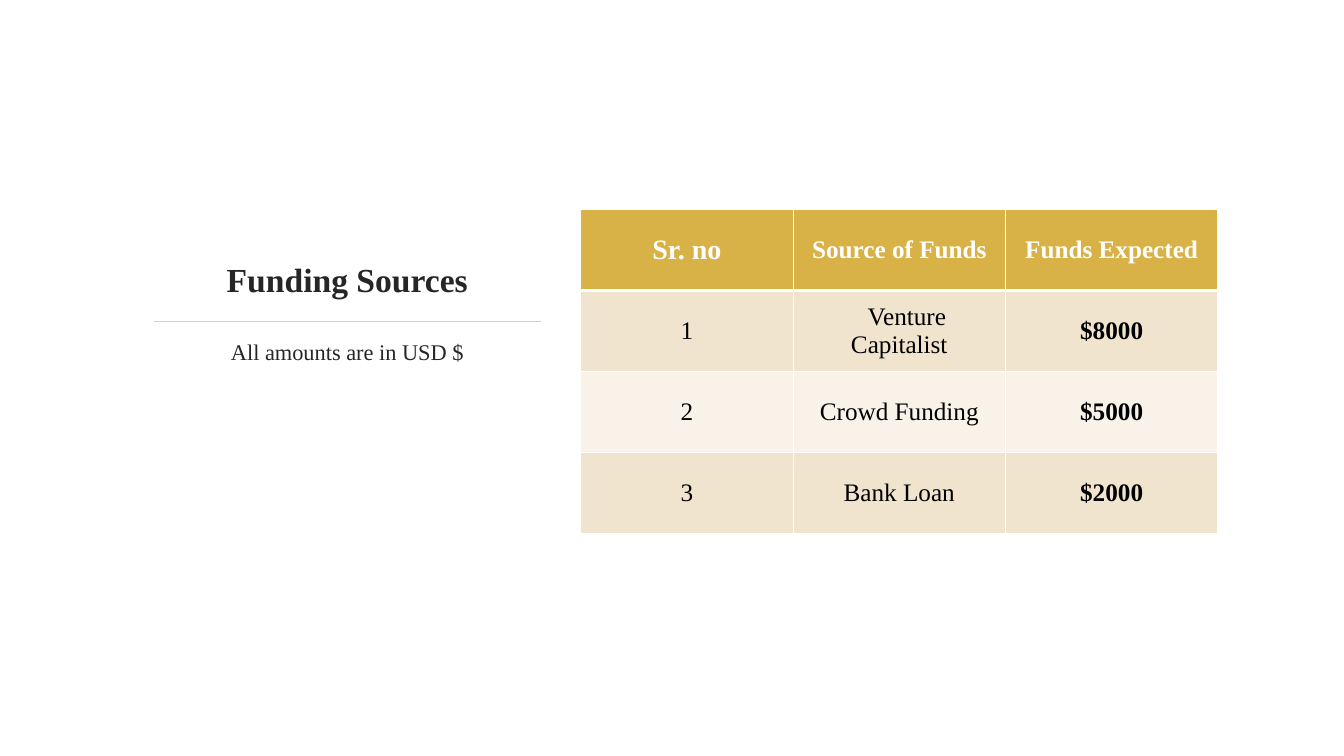
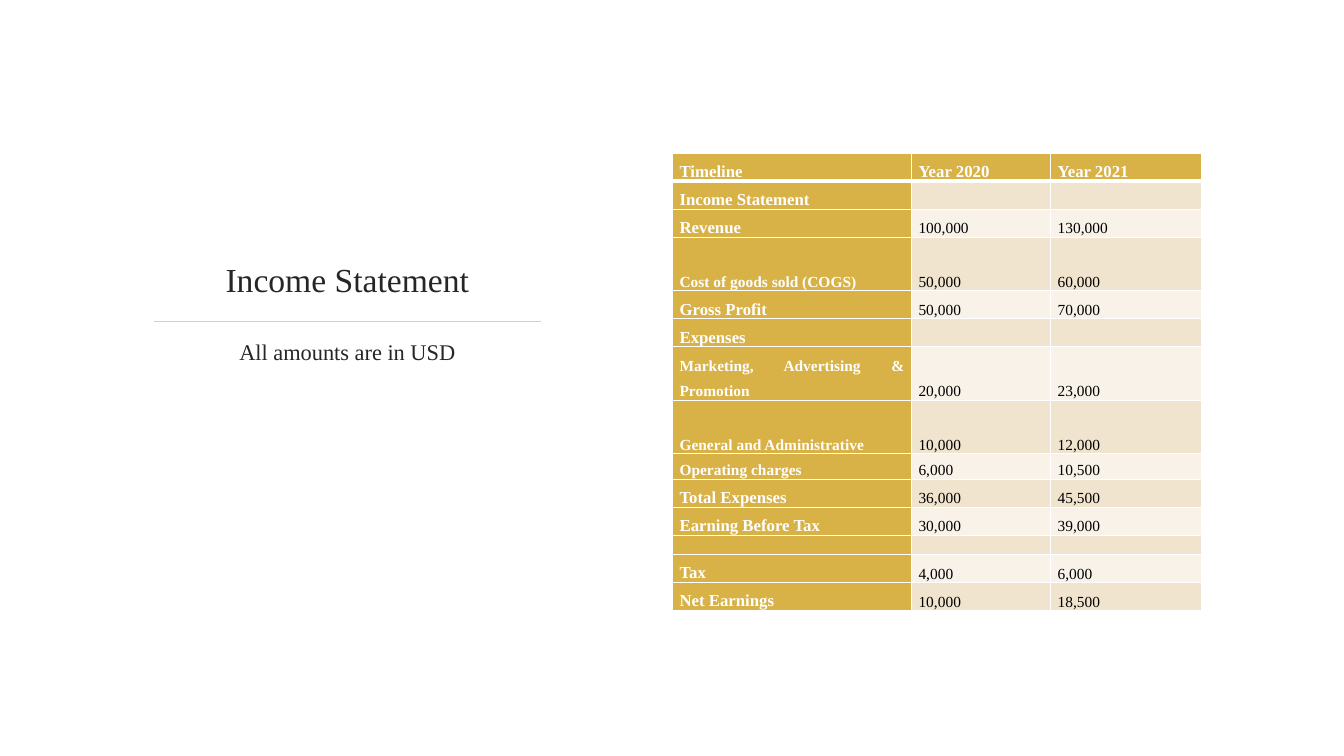
from dataclasses import dataclass
from typing import Any

from lxml.etree import SubElement
from pptx import Presentation
from pptx.dml.color import RGBColor
from pptx.enum.shapes import MSO_CONNECTOR
from pptx.enum.text import MSO_ANCHOR, MSO_AUTO_SIZE, PP_ALIGN
from pptx.oxml.ns import qn
from pptx.util import Emu, Inches, Pt

SLIDE_WIDTH, SLIDE_HEIGHT = Inches(13.33), Inches(7.5)
FONT_NAME = "Times New Roman"
WHITE = RGBColor(0xFF, 0xFF, 0xFF)
BLACK = RGBColor(0x00, 0x00, 0x00)
INK = RGBColor(0x26, 0x26, 0x26)
GOLD = RGBColor(0xD9, 0xB2, 0x47)
PALE_GOLD = RGBColor(0xE8, 0xD1, 0x91)
BANDS = (RGBColor(0xF1, 0xE4, 0xCF), RGBColor(0xF8, 0xF2, 0xE9))


def across(percent: float) -> Emu:
    """Length as a percentage of the slide width."""
    return Emu(round(SLIDE_WIDTH * percent / 100))


def down(percent: float) -> Emu:
    """Length as a percentage of the slide height."""
    return Emu(round(SLIDE_HEIGHT * percent / 100))


@dataclass(frozen=True)
class Box:
    """Area in percentages of the slide size."""
    left: float
    top: float
    width: float
    height: float

    def lengths(self) -> dict[str, Emu]:
        return {"left": across(self.left), "top": down(self.top),
                "width": across(self.width), "height": down(self.height)}


@dataclass(frozen=True)
class TextStyle:
    size: float
    color: RGBColor
    bold: bool = False
    alignment: Any = PP_ALIGN.CENTER
    line_spacing: float = 1.0
    indent: float = 0


@dataclass(frozen=True)
class TableCell:
    text: str
    style: TextStyle
    fill: RGBColor


@dataclass(frozen=True)
class StatementRow:
    label: str
    year_2020: str = ""
    year_2021: str = ""
    height: float = 3.6
    label_size: float = 12


TITLE_BOX = Box(10.58, 20.27, 30.53, 20)
NOTE_BOX = Box(10.58, 44.13, 30.53, 7.87)
RULE_LEFT, RULE_RIGHT, RULE_TOP = 11.48, 40.29, 42.53

FUNDS_BOX = Box(43.21, 27.73, 47.41, 42.8)
FUNDS_HEADERS = (("Sr. no", 20), ("Source of Funds", 18), ("Funds Expected", 18))
# Source, amount, first-line indent in inches
FUNDS = (("Venture Capitalist", "$8000", 0.15),
         ("Crowd Funding", "$5000", 0),
         ("Bank Loan", "$2000", 0))

STATEMENT_LEFT, STATEMENT_TOP = 50.04, 20.27
STATEMENT_COLUMNS = (17.78, 10.35, 11.25)
STATEMENT_MARGINS = {"margin_left": Inches(0.07), "margin_right": Inches(0.07),
                     "margin_top": 0, "margin_bottom": 0}
STATEMENT = (
    StatementRow("Timeline", "Year 2020", "Year 2021"),
    StatementRow("Income Statement"),
    StatementRow("Revenue", "100,000", "130,000"),
    StatementRow("Cost of goods sold (COGS)", "50,000", "60,000", 7.07, 11),
    StatementRow("Gross Profit", "50,000", "70,000"),
    StatementRow("Expenses"),
    StatementRow("Marketing, Advertising & Promotion", "20,000", "23,000", 7.07, 11),
    StatementRow("General and Administrative", "10,000", "12,000", 7.07, 11),
    StatementRow("Operating charges", "6,000", "10,500", 3.33, 11),
    StatementRow("Total Expenses", "36,000", "45,500"),
    StatementRow("Earning Before Tax", "30,000", "39,000"),
    StatementRow("", height=2.53),
    StatementRow("Tax", "4,000", "6,000"),
    StatementRow("Net Earnings", "10,000", "18,500"),
)


def set_attributes(target: Any, values: dict[str, Any]) -> None:
    for name, value in values.items():
        setattr(target, name, value)


def write_text(text_frame: Any, text: str, style: TextStyle) -> None:
    paragraph = text_frame.paragraphs[0]
    paragraph.alignment = style.alignment
    if not text:
        # An empty cell keeps its row low through its end mark
        SubElement(paragraph._p, qn("a:endParaRPr"), sz="1100")
        return
    paragraph.line_spacing = style.line_spacing
    if style.indent:
        properties = paragraph._p.get_or_add_pPr()
        properties.set("marL", "0")
        properties.set("indent", str(Inches(style.indent)))
    run = paragraph.add_run()
    run.text = text
    set_attributes(run.font, {"name": FONT_NAME, "size": Pt(style.size),
                              "bold": style.bold})
    run.font.color.rgb = style.color


def add_heading(presentation: Any, title: str, note: str, bold: bool) -> Any:
    """Add a slide with its title, rule and note."""
    slide = presentation.slides.add_slide(presentation.slide_layouts[5])
    rule = slide.shapes.add_connector(
        MSO_CONNECTOR.STRAIGHT, across(RULE_LEFT), down(RULE_TOP),
        across(RULE_RIGHT), down(RULE_TOP))
    rule.line.color.rgb = PALE_GOLD
    rule.line.width = Pt(1.25)
    SubElement(rule._element.spPr, qn("a:effectLst"))

    note_shape = slide.shapes.add_textbox(**NOTE_BOX.lengths())
    title_shape = slide.shapes.title
    set_attributes(title_shape, TITLE_BOX.lengths())
    for shape, text, anchor, style in (
            (title_shape, title, MSO_ANCHOR.BOTTOM, TextStyle(24, INK, bold)),
            (note_shape, note, MSO_ANCHOR.TOP, TextStyle(16, INK))):
        set_attributes(shape.text_frame, {
            "word_wrap": True, "auto_size": MSO_AUTO_SIZE.NONE,
            "vertical_anchor": anchor})
        write_text(shape.text_frame, text, style)
    return slide


def add_borders(cell: Any, row_index: int) -> None:
    """Draw white borders, thicker below the header row."""
    properties = cell._tc.get_or_add_tcPr()
    top = 3 if row_index == 1 else 1
    bottom = 3 if row_index == 0 else 1
    for side, width in (("L", 1), ("R", 1), ("T", top), ("B", bottom)):
        line = SubElement(properties, qn(f"a:ln{side}"), w=str(Pt(width)))
        fill = SubElement(line, qn("a:solidFill"))
        SubElement(fill, qn("a:srgbClr"), val=str(WHITE))


def add_grid(slide: Any, box: Box, columns: tuple[float, ...],
             heights: tuple[float, ...], rows: list[list[TableCell]],
             cell_format: dict[str, Any]) -> None:
    table = slide.shapes.add_table(len(rows), len(columns), **box.lengths()).table
    set_attributes(table, {"first_row": False, "horz_banding": False})
    for column, width in zip(table.columns, columns):
        column.width = across(width)
    for row_index, (row, height) in enumerate(zip(rows, heights)):
        table.rows[row_index].height = down(height)
        for column_index, content in enumerate(row):
            cell = table.cell(row_index, column_index)
            add_borders(cell, row_index)
            cell.fill.solid()
            cell.fill.fore_color.rgb = content.fill
            set_attributes(cell, cell_format)
            write_text(cell.text_frame, content.text, content.style)


def add_funding_slide(presentation: Any) -> None:
    slide = add_heading(presentation, "Funding Sources",
                        "All amounts are in USD $", bold=True)
    rows = [[TableCell(text, TextStyle(size, WHITE, True), GOLD)
             for text, size in FUNDS_HEADERS]]
    for index, (source, amount, indent) in enumerate(FUNDS):
        band = BANDS[index % 2]
        rows.append([
            TableCell(str(index + 1), TextStyle(18, BLACK), band),
            TableCell(source, TextStyle(18, BLACK, indent=indent), band),
            TableCell(amount, TextStyle(18, BLACK, True), band)])
    columns = (FUNDS_BOX.width / len(FUNDS_HEADERS),) * len(FUNDS_HEADERS)
    heights = (FUNDS_BOX.height / len(rows),) * len(rows)
    add_grid(slide, FUNDS_BOX, columns, heights, rows,
             {"vertical_anchor": MSO_ANCHOR.MIDDLE})


def add_statement_slide(presentation: Any) -> None:
    slide = add_heading(presentation, "Income Statement",
                        "All amounts are in USD", bold=False)
    layout = {"alignment": PP_ALIGN.JUSTIFY, "line_spacing": 1.5}
    rows = []
    for index, entry in enumerate(STATEMENT):
        label_style = TextStyle(entry.label_size, WHITE, True, **layout)
        if index == 0:
            value_style, value_fill = label_style, GOLD
        else:
            value_style = TextStyle(11, BLACK, **layout)
            value_fill = BANDS[(index - 1) % 2]
        rows.append([TableCell(entry.label, label_style, GOLD)] + [
            TableCell(value, value_style, value_fill)
            for value in (entry.year_2020, entry.year_2021)])
    heights = tuple(entry.height for entry in STATEMENT)
    box = Box(STATEMENT_LEFT, STATEMENT_TOP, sum(STATEMENT_COLUMNS), sum(heights))
    add_grid(slide, box, STATEMENT_COLUMNS, heights, rows,
             {"vertical_anchor": MSO_ANCHOR.BOTTOM, **STATEMENT_MARGINS})


def main() -> None:
    presentation = Presentation()
    set_attributes(presentation, {"slide_width": SLIDE_WIDTH,
                                  "slide_height": SLIDE_HEIGHT})
    add_funding_slide(presentation)
    add_statement_slide(presentation)
    presentation.save("out.pptx")


if __name__ == "__main__":
    main()
